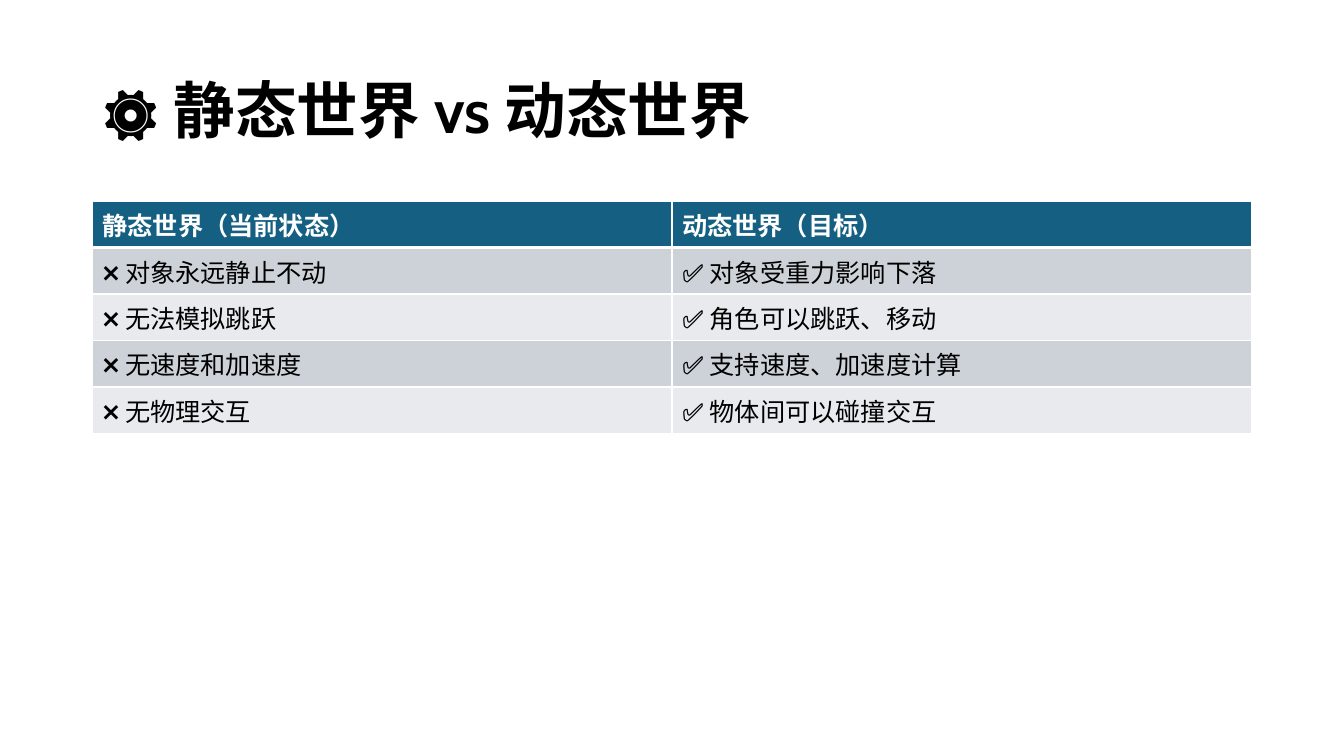
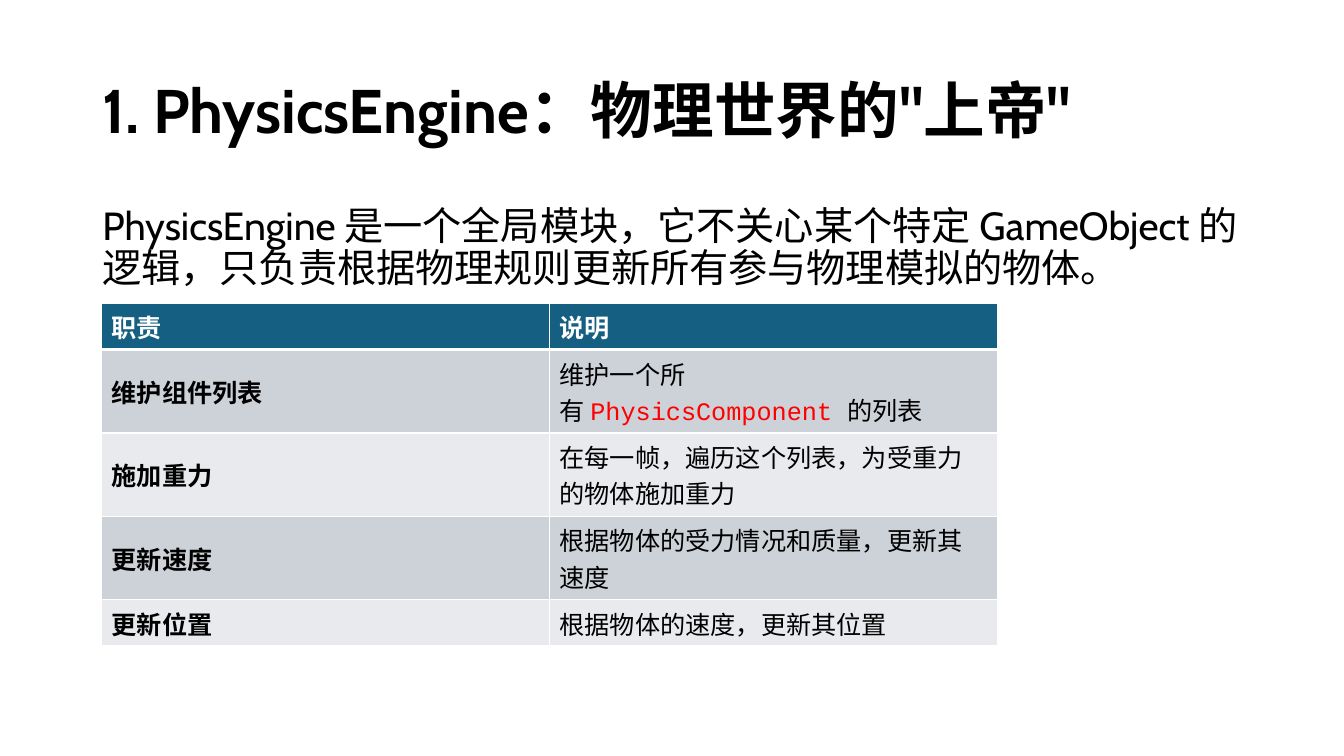
from lxml.etree import SubElement
from pptx import Presentation
from pptx.dml.color import RGBColor
from pptx.enum.text import MSO_ANCHOR as Anchor
from pptx.oxml.ns import qn
from pptx.util import Cm, Pt

FONT, CODE_FONT = "Cabin", "Courier New"
BLACK, WHITE, RED = "000000", "FFFFFF", "FF0000"
HEADER_FILL, BANDS = "156082", ("CCD2D8", "E8EAED")
HARD_SPACE = chr(160)
CODE = f"PhysicsComponent{HARD_SPACE}"
ONE_LINE, TWO_LINES = 1.17, 2.1
TITLE_BOX = (2.33, 1.01, 29.21, 3.68)
BODY_BOX = (2.33, 5.07, 29.21, 12.09)

COMPARISON = [
    ("静态世界（当前状态）", "动态世界（目标）"),
    ("❌ 对象永远静止不动", "✅ 对象受重力影响下落"),
    ("❌ 无法模拟跳跃", "✅ 角色可以跳跃、移动"),
    ("❌ 无速度和加速度", "✅ 支持速度、加速度计算"),
    ("❌ 无物理交互", "✅ 物体间可以碰撞交互"),
]
DUTIES = [
    ("职责", "说明"),
    ("维护组件列表", f"维护一个所有{HARD_SPACE}{CODE}的列表"),
    ("施加重力", "在每一帧，遍历这个列表，为受重力的物体施加重力"),
    ("更新速度", "根据物体的受力情况和质量，更新其速度"),
    ("更新位置", "根据物体的速度，更新其位置"),
]


def color(value):
    """Turn a hex string into a colour."""
    return RGBColor.from_string(value)


def style(span, size, ink=BLACK, bold=False, font=FONT):
    """Format one run."""
    span.font.name = font
    span.font.size = Pt(size)
    span.font.bold = bold
    span.font.color.rgb = color(ink)


def add_text(page, area, text, size, bold=False, anchor=Anchor.TOP):
    """Place one tightly spaced paragraph in a text box."""
    box = page.shapes.add_textbox(*map(Cm, area))
    frame = box.text_frame
    frame.word_wrap = True
    frame.vertical_anchor = anchor
    frame.text = text
    para = frame.paragraphs[0]
    para.line_spacing = 0.9
    style(para.runs[0], size, bold=bold)


def add_borders(cell, top, bottom):
    """Draw white rules round a cell, widths in points."""
    props = cell._tc.get_or_add_tcPr()
    for side, width in (("L", 1), ("R", 1), ("T", top), ("B", bottom)):
        line = SubElement(props, qn(f"a:ln{side}"), w=str(Pt(width)))
        fill = SubElement(line, qn("a:solidFill"))
        SubElement(fill, qn("a:srgbClr"), val=WHITE)


def fill_cell(cell, text, row, bold):
    """Write and colour one cell according to its row."""
    header = row == 0
    add_borders(cell, 3 if row == 1 else 1, 3 if header else 1)
    cell.fill.solid()
    cell.fill.fore_color.rgb = color(HEADER_FILL if header else BANDS[(row - 1) % 2])
    cell.vertical_anchor = Anchor.MIDDLE
    cell.margin_top = cell.margin_bottom = Cm(0.13)
    para = cell.text_frame.paragraphs[0]
    for part in filter(None, text.partition(CODE)):
        span = para.add_run()
        span.text = part
        if part == CODE:
            style(span, 18, RED, font=CODE_FONT)
        else:
            style(span, 18, WHITE if header else BLACK, header or bold)


def add_grid(page, left, top, width, rows, heights, bold_first=False):
    """Place a banded table with equal columns."""
    frame = page.shapes.add_table(len(rows), len(rows[0]), Cm(left), Cm(top),
                                  Cm(width), Cm(sum(heights)))
    for row, (texts, height) in enumerate(zip(rows, heights)):
        frame.table.rows[row].height = Cm(height)
        for column, text in enumerate(texts):
            fill_cell(frame.table.cell(row, column), text, row,
                      bold_first and column == 0)


def add_page(deck, title):
    """Add a blank slide with the shared title."""
    page = deck.slides.add_slide(deck.slide_layouts[6])
    add_text(page, TITLE_BOX, title, 44, True, Anchor.MIDDLE)
    return page


def add_comparison_page(deck):
    """Build the slide comparing the static and dynamic worlds."""
    page = add_page(deck, "⚙️ 静态世界 vs 动态世界")
    left, top, width, _ = BODY_BOX
    add_grid(page, left, top, width, COMPARISON, [ONE_LINE] * len(COMPARISON))


def add_engine_page(deck):
    """Build the slide on the duties of the physics engine."""
    page = add_page(deck, '1. PhysicsEngine：物理世界的"上帝"')
    add_text(page, BODY_BOX, f"PhysicsEngine{HARD_SPACE}是一个全局模块，它不关心某个特定 "
             "GameObject 的逻辑，只负责根据物理规则更新所有参与物理模拟的物体。", 28)
    left, top, _, _ = BODY_BOX
    heights = [ONE_LINE, *[TWO_LINES] * 3, ONE_LINE]
    add_grid(page, left + 0.23, top + 2.57, 22.57, DUTIES, heights, bold_first=True)


def main():
    """Build and save the deck."""
    deck = Presentation()
    deck.slide_width, deck.slide_height = Cm(33.87), Cm(19.05)
    add_comparison_page(deck)
    add_engine_page(deck)
    deck.save("out.pptx")


if __name__ == "__main__":
    main()
